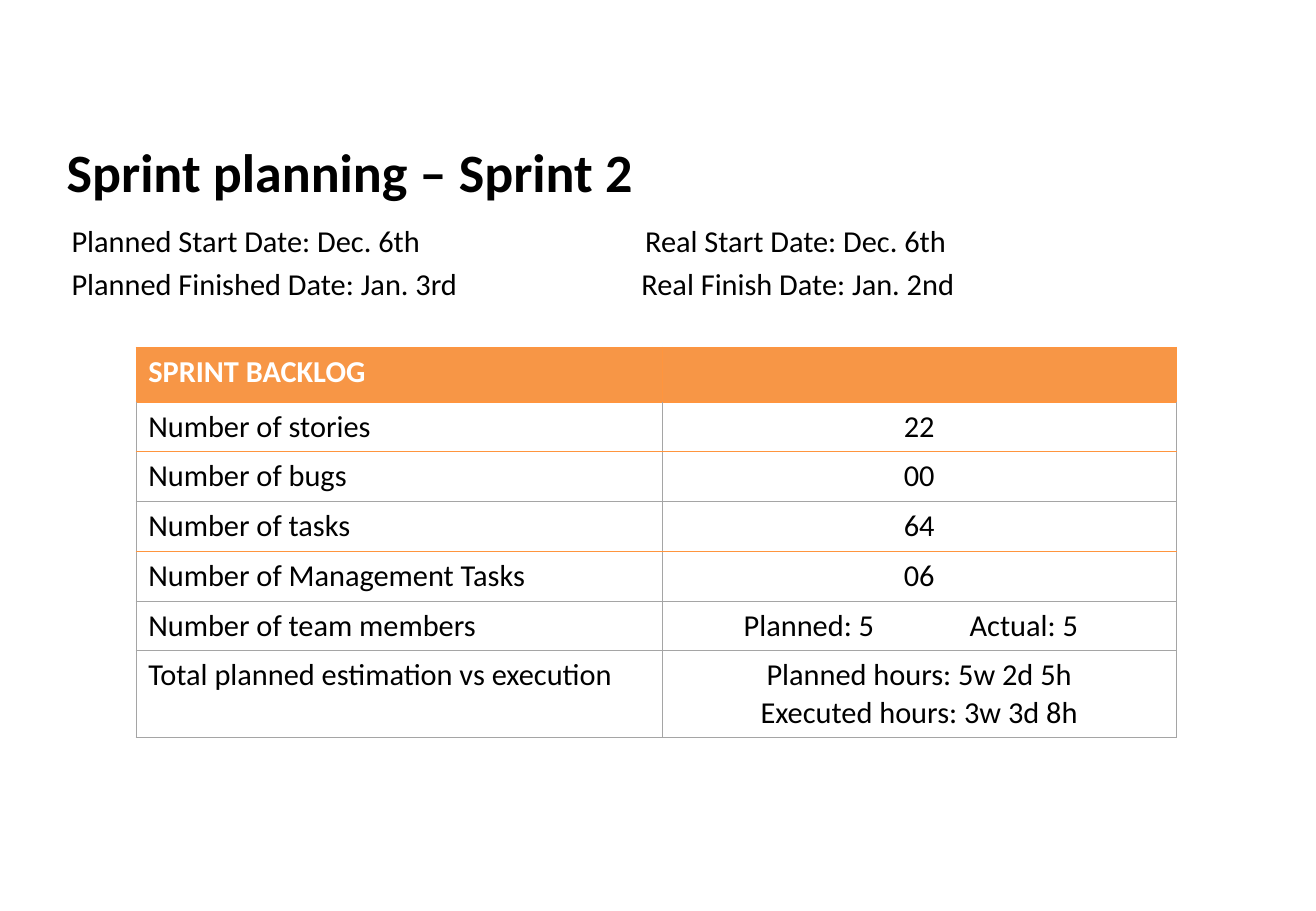
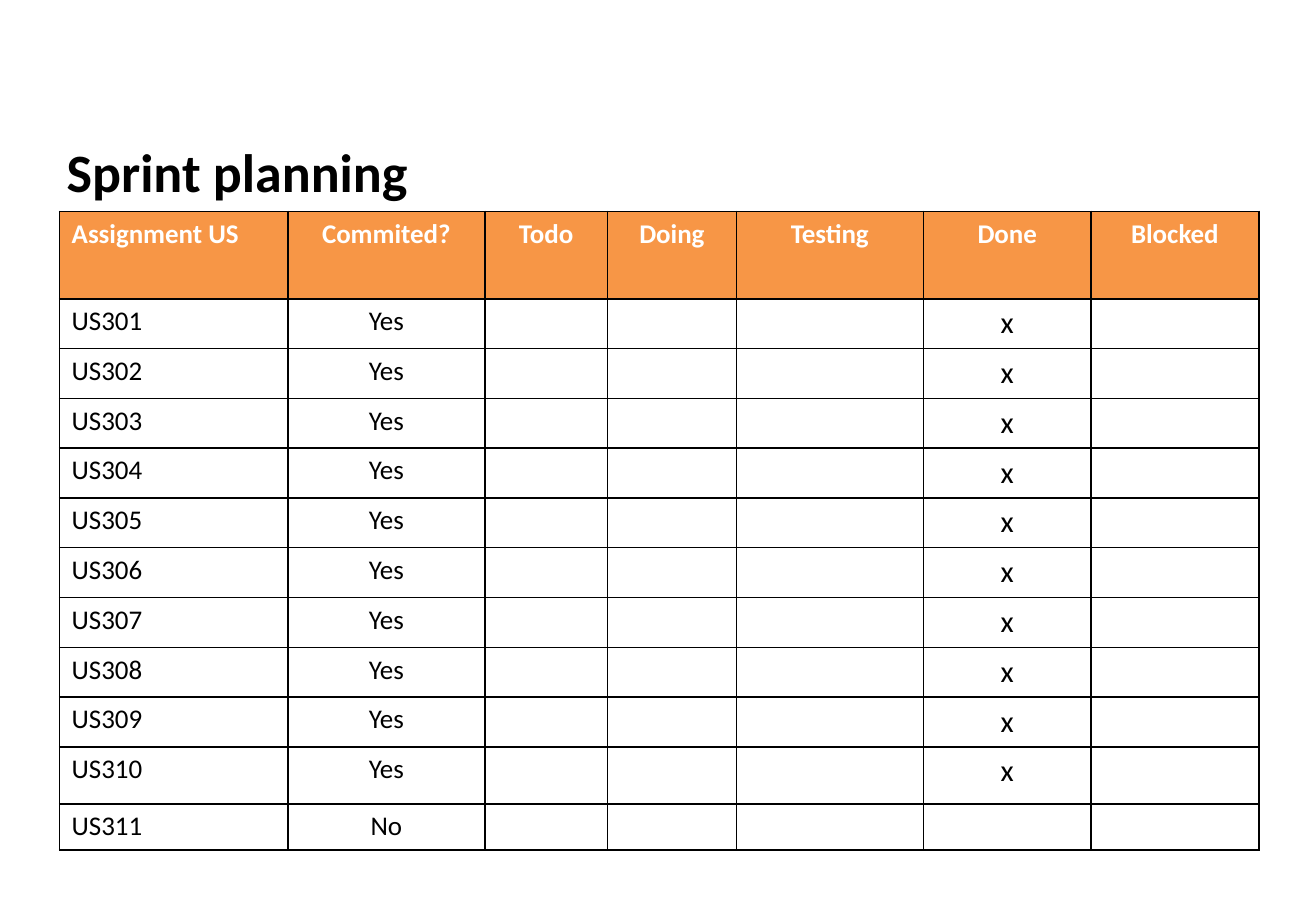
"""Build two sprint planning slides: the sprint backlog and the assignment board."""
import lxml.etree
import pptx
import pptx.dml.color
import pptx.enum.text
import pptx.oxml.ns
import pptx.util

Inches, Pt = pptx.util.Inches, pptx.util.Pt
RGBColor = pptx.dml.color.RGBColor
ALIGN = pptx.enum.text.PP_ALIGN
qn = pptx.oxml.ns.qn

FONT = "Calibri"
BLACK = RGBColor(0x00, 0x00, 0x00)
WHITE = RGBColor(0xFF, 0xFF, 0xFF)
ORANGE = RGBColor(0xF7, 0x96, 0x46)
RULE_ORANGE = RGBColor(0xFF, 0x95, 0x3E)
RULE_GRAY = RGBColor(0xA5, 0xA5, 0xA5)

DATES = [
    ("Planned Start Date: Dec. 6th\tReal Start Date: Dec. 6th", 4.72),
    ("Planned Finished Date: Jan. 3rd\tReal Finish Date: Jan. 2nd", 4.69),
]
BACKLOG = [
    ("SPRINT BACKLOG", ""),
    ("Number of stories", "22"),
    ("Number of bugs", "00"),
    ("Number of tasks", "64"),
    ("Number of Management Tasks", "06"),
    ("Number of team members", "\tPlanned: 5\tActual: 5"),
    ("Total planned estimation vs execution",
     "Planned hours: 5w 2d 5h\nExecuted hours: 3w 3d 8h"),
]
BACKLOG_COLUMNS = [4.33, 4.23]
BACKLOG_ROWS = [0.45] + [0.41] * 5 + [0.71]
BACKLOG_RULES = [RULE_ORANGE] * 3 + [RULE_GRAY, RULE_ORANGE] + [RULE_GRAY] * 3
MEMBER_TABS = [0.57, 2.43]

BOARD = [("Assignment US", "Commited?", "Todo", "Doing", "Testing", "Done", "Blocked")]
BOARD += [(f"US{number}", "Yes", "", "", "", "x", "") for number in range(301, 311)]
BOARD += [("US311", "No", "", "", "", "", "")]
BOARD_COLUMNS = [1.88, 1.62, 1.01, 1.06, 1.54, 1.38, 1.38]
BOARD_ROWS = [0.72] + [0.41] * 9 + [0.47, 0.38]


def add_tabs(para, stops):
    tab_list = lxml.etree.SubElement(para._p.get_or_add_pPr(), qn("a:tabLst"))
    for stop in stops:
        lxml.etree.SubElement(tab_list, qn("a:tab"), pos=str(Inches(stop)), algn="l")


def add_span(para, text, size, color=BLACK, bold=False):
    span = para.add_run()
    span.text = text
    span.font.name = FONT
    span.font.size = Pt(size)
    span.font.bold = bold
    span.font.color.rgb = color


def add_box(page, left, top, width, height):
    box = page.shapes.add_textbox(*map(Inches, (left, top, width, height)))
    box.text_frame.word_wrap = True
    return box.text_frame


def add_title(page, text):
    add_span(add_box(page, 0.45, 1.09, 9.89, 0.62).paragraphs[0], text, 32, bold=True)


def add_dates(page):
    frame = add_box(page, 0.49, 1.78, 9.89, 0.78)
    for index, (text, stop) in enumerate(DATES):
        para = frame.add_paragraph() if index else frame.paragraphs[0]
        para.space_after = Pt(4)
        add_tabs(para, [stop])
        add_span(para, text, 18)


def set_borders(cell, colors, width):
    properties = cell._tc.get_or_add_tcPr()
    for index, (side, color) in enumerate(zip("LRTB", colors)):
        line = lxml.etree.Element(qn(f"a:ln{side}"), w=str(Pt(width)))
        fill = lxml.etree.SubElement(line, qn("a:solidFill"))
        lxml.etree.SubElement(fill, qn("a:srgbClr"), val=str(color))
        properties.insert(index, line)


def fill_cell(cell, text, size, header, centered):
    if header:
        cell.fill.solid()
        cell.fill.fore_color.rgb = ORANGE
    else:
        cell.fill.background()
    frame = cell.text_frame
    for index, line in enumerate(text.split("\n")):
        para = frame.add_paragraph() if index else frame.paragraphs[0]
        if "\t" in line:
            add_tabs(para, MEMBER_TABS)
        elif centered:
            para.alignment = ALIGN.CENTER
        if line:
            add_span(para, line, size, WHITE if header else BLACK, header)
        else:
            lxml.etree.SubElement(para._p, qn("a:endParaRPr"), sz=str(size * 100))


def add_grid(page, left, top, columns, rows, content, size, rules, side_rule, width):
    frame = page.shapes.add_table(len(rows), len(columns), Inches(left), Inches(top),
                                  Inches(sum(columns)), Inches(sum(rows)))
    table = frame.table
    table.first_row = table.horz_banding = False
    for column, length in zip(table.columns, columns):
        column.width = Inches(length)
    for r, (values, height) in enumerate(zip(content, rows)):
        table.rows[r].height = Inches(height)
        side = side_rule if r else rules[0]
        for c, text in enumerate(values):
            cell = table.cell(r, c)
            fill_cell(cell, text, 18 if text == "x" else size, r == 0, c > 0)
            set_borders(cell, (side, side, rules[r], rules[r + 1]), width)


def main():
    deck = pptx.Presentation()
    deck.slide_width, deck.slide_height = Inches(10.83), Inches(7.5)
    backlog_page, board_page = (deck.slides.add_slide(deck.slide_layouts[6]) for _ in range(2))

    add_title(backlog_page, "Sprint planning – Sprint 2")
    add_grid(backlog_page, 1.12, 2.86, BACKLOG_COLUMNS, BACKLOG_ROWS, BACKLOG, 18,
             BACKLOG_RULES, RULE_GRAY, 0.75)
    add_dates(backlog_page)

    add_title(board_page, "Sprint planning")
    add_grid(board_page, 0.49, 1.74, BOARD_COLUMNS, BOARD_ROWS, BOARD, 16,
             [BLACK] * (len(BOARD) + 1), BLACK, 0.96)

    deck.save("out.pptx")


if __name__ == "__main__":
    main()
